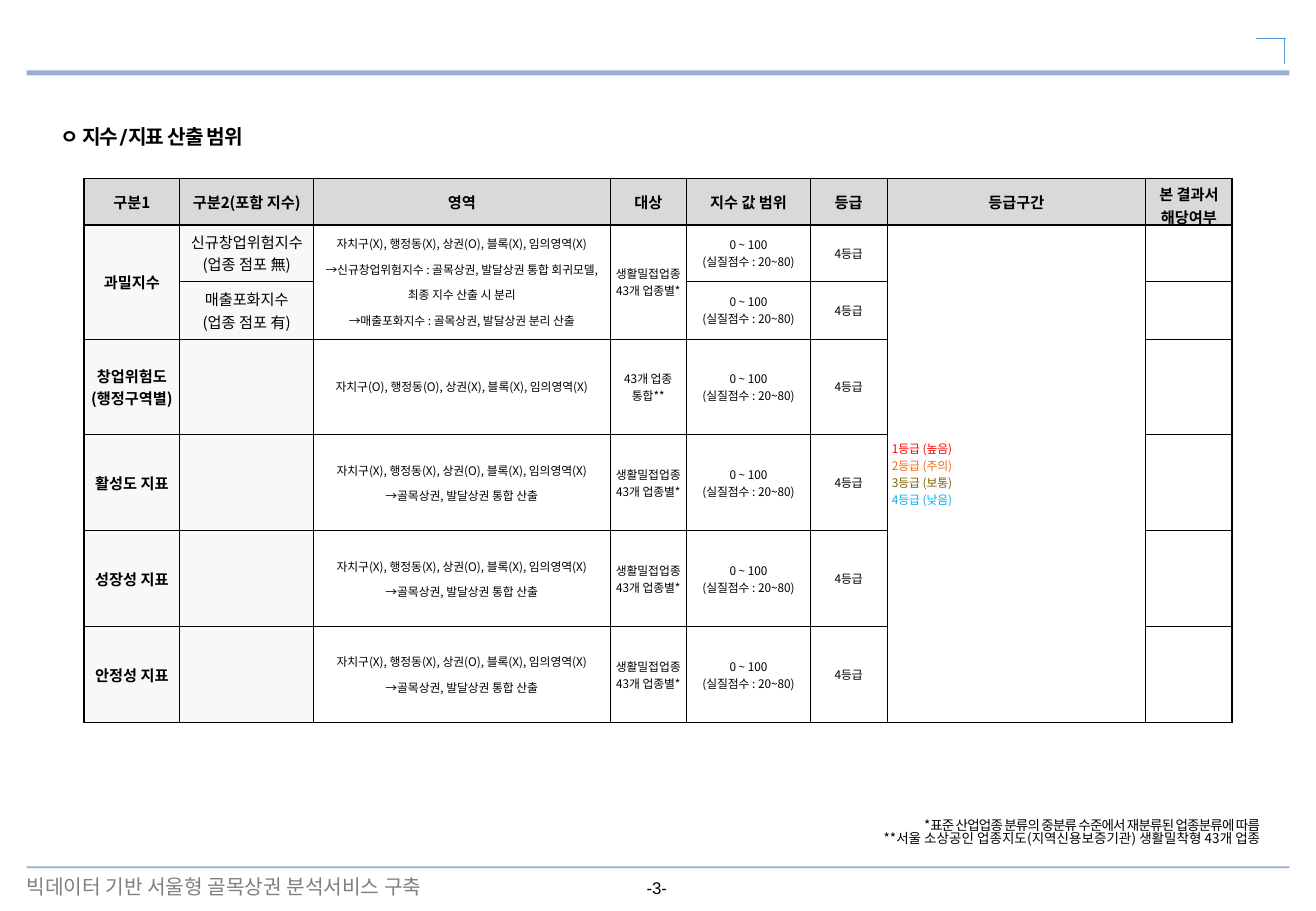
from lxml.etree import SubElement
from pptx import Presentation
from pptx.dml.color import RGBColor
from pptx.enum.shapes import MSO_CONNECTOR
from pptx.enum.text import MSO_ANCHOR, MSO_AUTO_SIZE, PP_ALIGN
from pptx.oxml import parse_xml
from pptx.oxml.ns import nsdecls, qn
from pptx.util import Inches, Pt

KOREAN_FONT = "Noto Sans CJK KR"
BLACK = RGBColor(0x00, 0x00, 0x00)
GRAY = RGBColor(0x80, 0x80, 0x80)
NAVY = RGBColor(0x00, 0x33, 0x99)
BLUE = RGBColor(0x5B, 0x9B, 0xD5)
HEADER_FILL = RGBColor(0xD9, 0xD9, 0xD9)
LABEL_FILL = RGBColor(0xF8, 0xF8, 0xF8)
GRADE_COLORS = {
    "1등급 (높음)": RGBColor(0xFF, 0x00, 0x00),
    "2등급 (주의)": RGBColor(0xFF, 0x66, 0x00),
    "3등급 (보통)": RGBColor(0x80, 0x60, 0x00),
    "4등급 (낮음)": RGBColor(0x00, 0xB0, 0xF0),
}


def add_text(frame, text, size=7, color=BLACK, bold=False, font=KOREAN_FONT,
             align=PP_ALIGN.CENTER, line_spacing=None, spacing=0, same_line=False):
    """Add a formatted paragraph, or a run on the last line, to a text frame."""
    paragraph = frame.paragraphs[-1]
    if paragraph.runs and not same_line:
        paragraph = frame.add_paragraph()
    paragraph.alignment = align
    if line_spacing:
        paragraph.line_spacing = line_spacing
    run = paragraph.add_run()
    run.text = text
    run.font.size = Pt(size)
    run.font.bold = bold
    run.font.name = font
    run.font.color.rgb = color
    properties = run._r.get_or_add_rPr()
    if spacing:
        properties.set("spc", str(int(spacing * 100)))
    SubElement(properties, qn("a:ea")).set("typeface", KOREAN_FONT)


def add_box(slide, left, top, width, height, wrap=True):
    """Add an empty text box and return its text frame."""
    shape = slide.shapes.add_textbox(Inches(left), Inches(top), Inches(width), Inches(height))
    shape.text_frame.word_wrap = wrap
    return shape.text_frame


presentation = Presentation()
presentation.slide_width = Inches(10.83)
presentation.slide_height = Inches(7.5)
slide = presentation.slides.add_slide(presentation.slide_layouts[5])

# Page frame: rules, corner mark, footer and page number
frame_lines = [
    (0.22, 0.6, 10.61, 0.6, NAVY, 3, 40),
    (0.22, 7.14, 10.61, 7.14, NAVY, 1, 40),
    (10.34, 0.32, 10.58, 0.32, BLUE, 0.5, 100),
    (10.57, 0.32, 10.57, 0.53, BLUE, 0.5, 100),
]
for x1, y1, x2, y2, color, width, opacity in frame_lines:
    connector = slide.shapes.add_connector(
        MSO_CONNECTOR.STRAIGHT, Inches(x1), Inches(y1), Inches(x2), Inches(y2))
    connector.line.color.rgb = color
    connector.line.width = Pt(width)
    line_color = connector.line._ln.find(".//" + qn("a:srgbClr"))
    SubElement(line_color, qn("a:alpha")).set("val", str(opacity * 1000))
    SubElement(connector._element.spPr, qn("a:effectLst"))

add_text(add_box(slide, 5.17, 7.18, 0.47, 0.27, wrap=False), "-3-", size=10, font="Arial")
add_text(add_box(slide, 0.12, 7.15, 3.99, 0.3), "빅데이터 기반 서울형 골목상권 분석서비스 구축",
         size=12, color=GRAY, align=PP_ALIGN.LEFT)

# Heading
title = slide.shapes.title
title.left, title.top = Inches(0.4), Inches(0.91)
title.width, title.height = Inches(10.08), Inches(0.36)
title.text_frame.auto_size = MSO_AUTO_SIZE.NONE
title.text_frame.vertical_anchor = MSO_ANCHOR.TOP
add_text(title.text_frame, "ㅇ 지수/지표 산출 범위", size=12, bold=True, font="Karla",
         align=PP_ALIGN.JUSTIFY, line_spacing=1.3, spacing=-0.5)

# Index table
SCOPE = "자치구(X), 행정동(X), 상권(O), 블록(X), 임의영역(X)"
DISTRICT_SCOPE = "자치구(O), 행정동(O), 상권(X), 블록(X), 임의영역(X)"
JOINT = "→골목상권, 발달상권 통합 산출"
TARGET = "생활밀접업종 43개 업종별*"
RANGE = "0 ~ 100\n(실질점수 : 20~80)"
GRADE = "4등급"
rows = [
    ["구분1", "구분2(포함 지수)", "영역", "대상", "지수 값 범위", "등급", "등급구간",
     "본 결과서\n해당여부"],
    ["과밀지수", "신규창업위험지수(업종 점포 無)",
     f"{SCOPE}\n→신규창업위험지수 : 골목상권, 발달상권 통합 회귀모델,|최종 지수 산출 시 분리"
     "\n→매출포화지수 : 골목상권, 발달상권 분리 산출",
     TARGET, RANGE, GRADE, "\n".join(GRADE_COLORS), ""],
    ["", "매출포화지수\n(업종 점포 有)", "", "", RANGE, GRADE, "", ""],
    ["창업위험도\n(행정구역별)", "", DISTRICT_SCOPE, "43개 업종 통합**", RANGE, GRADE, "", ""],
]
for indicator in ("활성도 지표", "성장성 지표", "안정성 지표"):
    rows.append([indicator, "", f"{SCOPE}\n{JOINT}", TARGET, RANGE, GRADE, "", ""])

column_widths = [0.79, 1.1, 2.44, 0.63, 1.02, 0.63, 2.13, 0.71]
row_heights = [0.31] + [0.47] * 2 + [0.79] * 4
last_row, last_column = len(rows) - 1, len(column_widths) - 1
table_shape = slide.shapes.add_table(
    len(rows), len(column_widths), Inches(0.69), Inches(1.47), Inches(9.45), Inches(4.48))
table = table_shape.table
table.first_row = table.horz_banding = False
for column, width in zip(table.columns, column_widths):
    column.width = Inches(width)
for row, height in zip(table.rows, row_heights):
    row.height = Inches(height)
table_shape.height = Inches(4.48)
for column_index, bottom_row in ((0, 2), (2, 2), (3, 2), (6, last_row)):
    table.cell(1, column_index).merge(table.cell(bottom_row, column_index))

for row_index, row_texts in enumerate(rows):
    for column_index, text in enumerate(row_texts):
        cell = table.cell(row_index, column_index)
        cell.vertical_anchor = MSO_ANCHOR.MIDDLE
        cell.margin_left = cell.margin_right = Inches(0.04)
        cell.margin_top = cell.margin_bottom = Inches(0.04)

        bottom_row = row_index + cell.span_height - 1
        heavy_edges = {
            "L": column_index == 0,
            "R": column_index == last_column,
            "T": row_index <= 1,
            "B": bottom_row in (0, last_row),
        }
        for side, heavy in heavy_edges.items():
            cell._tc.get_or_add_tcPr().append(parse_xml(
                f'<a:ln{side} {nsdecls("a")} w="{Pt(1 if heavy else 0.5)}">'
                f'<a:solidFill><a:srgbClr val="{BLACK}"/></a:solidFill></a:ln{side}>'))

        is_header, is_label = row_index == 0, column_index <= 1
        if is_header or is_label:
            cell.fill.solid()
            cell.fill.fore_color.rgb = HEADER_FILL if is_header else LABEL_FILL
        else:
            cell.fill.background()

        for line in text.split("\n") if text else []:
            cell_format = {
                "size": 9 if is_header or is_label else 7,
                "bold": is_header or column_index == 0,
                "color": GRADE_COLORS.get(line, BLACK),
                "align": PP_ALIGN.LEFT if line in GRADE_COLORS else PP_ALIGN.CENTER,
                "line_spacing": 1.5 if line.startswith("→") else None,
            }
            start, gap, rest = line.partition("|")
            add_text(cell.text_frame, start, **cell_format)
            if gap:
                add_text(cell.text_frame, " ", spacing=29, same_line=True, **cell_format)
                add_text(cell.text_frame, rest, same_line=True, **cell_format)

# Footnotes
footnotes = add_box(slide, 0.31, 6.75, 10.16, 0.3)
footnotes.margin_left = footnotes.margin_top = footnotes.margin_bottom = 0
for note, spacing in (
    ("*표준 산업업종 분류의 중분류 수준에서 재분류된 업종분류에 따름", -0.5),
    ("**서울 소상공인 업종지도(지역신용보증기관) 생활밀착형 43개 업종", 0),
):
    add_text(footnotes, note, size=8, align=PP_ALIGN.RIGHT, line_spacing=0.8, spacing=spacing)

presentation.save("out.pptx")
